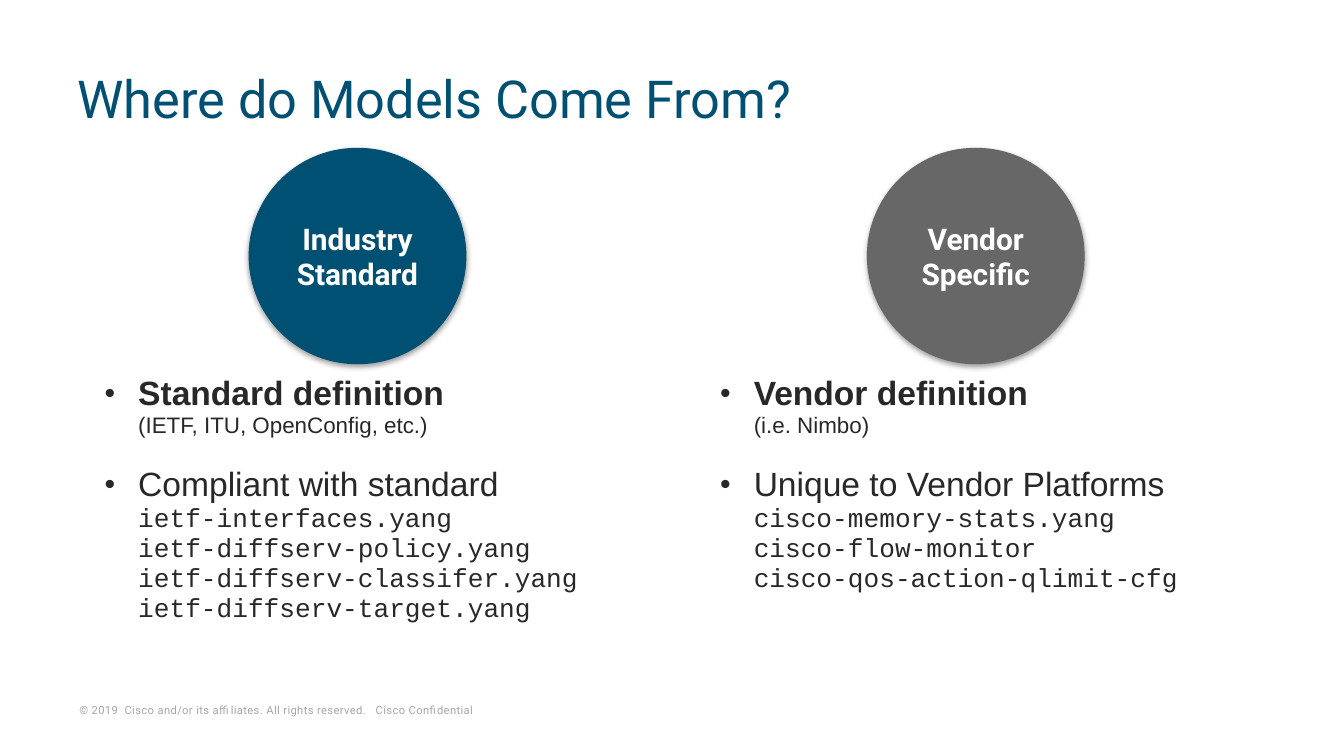
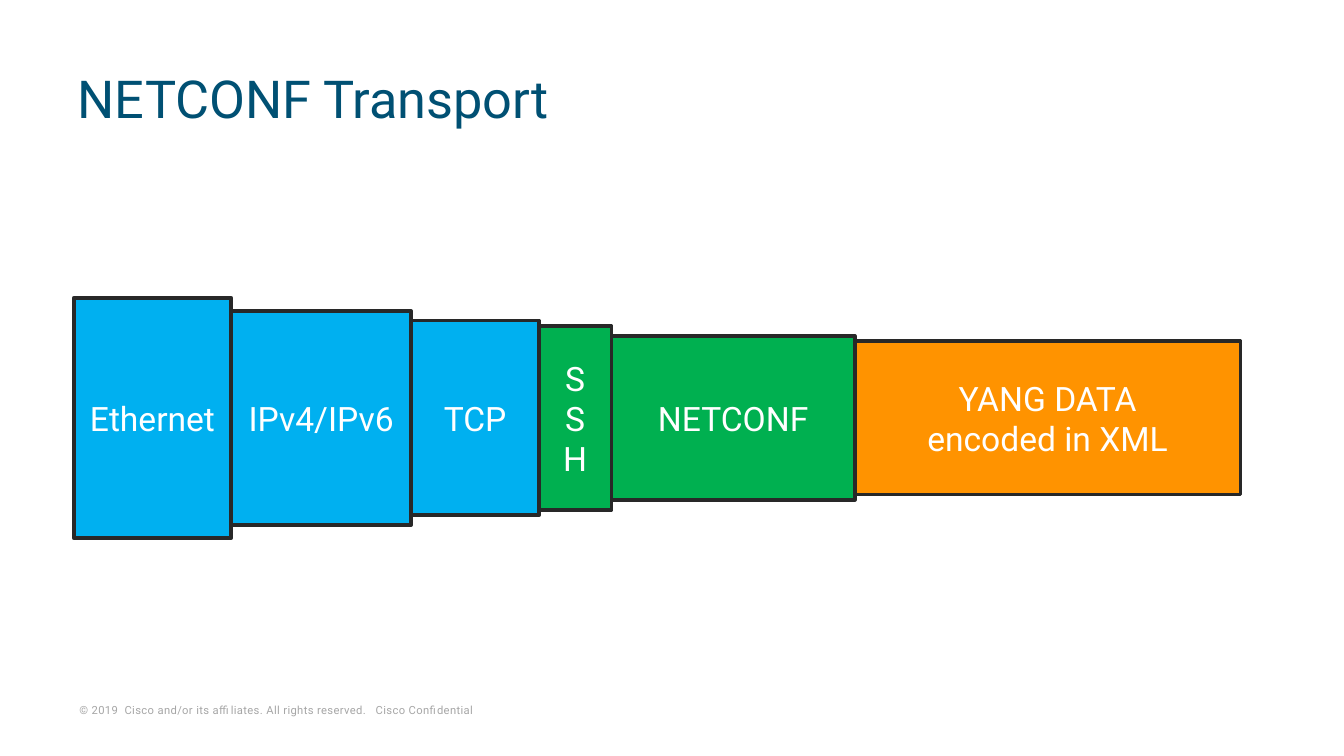
from copy import deepcopy
from dataclasses import dataclass

from lxml.etree import SubElement
from pptx import Presentation
from pptx.dml.color import RGBColor
from pptx.enum.shapes import MSO_SHAPE
from pptx.enum.text import MSO_ANCHOR, MSO_AUTO_SIZE, PP_ALIGN
from pptx.oxml.ns import qn
from pptx.util import Inches, Pt


@dataclass(frozen=True)
class Theme:
    navy: str = "005073"
    grey: str = "676767"
    ink: str = "282828"
    white: str = "FFFFFF"
    footer_grey: str = "A6A6A6"
    blue: str = "00B0F0"
    green: str = "00B050"
    orange: str = "FF9300"
    display_font: str = "Roboto"
    body_font: str = "Arial"
    code_font: str = "Courier New"
    title_size: float = 28
    body_size: float = 18
    circle_size: float = 16
    code_size: float = 14
    note_size: float = 12
    footer_size: float = 6


THEME = Theme()
SLIDE_WIDTH = 10
FOOTER = "© 2019  Cisco and/or its affiliates. All rights reserved.   Cisco Confidential"


# Shared text and shape helpers
def style_run(run, size, color, font=THEME.display_font, bold=False):
    run.font.name = font
    run.font.size = Pt(size)
    run.font.bold = bold
    run.font.color.rgb = RGBColor.from_string(color)


def match_breaks(paragraph):
    """Give each line break the format of the run before it."""
    for line_break in paragraph._p.findall(qn("a:br")):
        line_break.insert(0, deepcopy(line_break.getprevious().find(qn("a:rPr"))))


def set_frame(frame, horizontal=0.1, vertical=0.05, anchor=MSO_ANCHOR.MIDDLE):
    frame.word_wrap = True
    frame.vertical_anchor = anchor
    frame.margin_left = frame.margin_right = Inches(horizontal)
    frame.margin_top = frame.margin_bottom = Inches(vertical)


def add_text_box(slide, box):
    return slide.shapes.add_textbox(*map(Inches, box)).text_frame


def add_label_shape(slide, kind, box, fill, text, size, bold=False):
    shape = slide.shapes.add_shape(kind, *map(Inches, box))
    shape.shadow.inherit = False
    shape.fill.solid()
    shape.fill.fore_color.rgb = RGBColor.from_string(fill)
    set_frame(shape.text_frame)
    paragraph = shape.text_frame.paragraphs[0]
    paragraph.text = text
    paragraph.alignment = PP_ALIGN.CENTER
    for run in paragraph.runs:
        style_run(run, size, THEME.white, bold=bold)
    match_breaks(paragraph)
    return shape


# Title and footer shared by all slides
def add_base_slide(presentation, title):
    slide = presentation.slides.add_slide(presentation.slide_layouts[6])

    footer = add_text_box(slide, (0.52, 5.19, 3.72, 0.17))
    set_frame(footer, 0.07, 0.03, MSO_ANCHOR.BOTTOM)
    footer.auto_size = MSO_AUTO_SIZE.SHAPE_TO_FIT_TEXT
    footer.text = FOOTER
    footer_run = footer.paragraphs[0].runs[0]
    style_run(footer_run, THEME.footer_size, THEME.footer_grey)
    footer_run.font._element.set("spc", "20")

    heading = add_text_box(slide, (0.48, 0.37, 9.13, 0.8))
    set_frame(heading)
    heading.text = title
    heading.paragraphs[0].line_spacing = 0.8
    style_run(heading.paragraphs[0].runs[0], THEME.title_size, THEME.navy)
    return slide


# Circle with a soft shadow
def add_circle(slide, box, fill, text):
    circle = add_label_shape(slide, MSO_SHAPE.ROUNDED_RECTANGLE, box, fill, text,
                             THEME.circle_size, bold=True)
    circle.adjustments[0] = 0.5
    circle.line.fill.background()
    set_frame(circle.text_frame, 0.07, 0.04)
    effects = circle._element.spPr.find(qn("a:effectLst"))
    shadow = SubElement(effects, qn("a:outerShdw"), blurRad=str(Pt(3.1)),
                        dist=str(Pt(1.6)), dir="5400000", rotWithShape="0")
    color = SubElement(shadow, qn("a:srgbClr"), val="000000")
    SubElement(color, qn("a:alpha"), val="38000")


# Bulleted list whose items continue on lines of their own style
def add_bullets(slide, box, items):
    frame = add_text_box(slide, box)
    set_frame(frame, anchor=MSO_ANCHOR.TOP)
    for index, (heading, bold, lines, font, size) in enumerate(items):
        paragraph = frame.add_paragraph() if index else frame.paragraphs[0]
        paragraph.text = "\v".join([heading, *lines])
        paragraph.line_spacing = 0.95
        if index:
            paragraph.space_before = Pt(14.4)
        properties = paragraph._p.get_or_add_pPr()
        properties.set("marL", str(Inches(0.25)))
        properties.set("indent", str(-Inches(0.25)))
        SubElement(properties, qn("a:buSzPct"), val="90000")
        SubElement(properties, qn("a:buFont"), typeface=THEME.body_font)
        SubElement(properties, qn("a:buChar"), char="•")
        first, *rest = paragraph.runs
        style_run(first, THEME.body_size, THEME.ink, THEME.body_font, bold)
        for run in rest:
            style_run(run, size, THEME.ink, font)
        match_breaks(paragraph)


# One source of models: circle above, bullets below
def add_source(slide, box, circle_offset, fill, name, definition, note, scope, modules):
    left, top, width, height = box
    add_bullets(slide, (left, top + 1.64, width, height - 1.64), [
        (definition, True, [note], THEME.body_font, THEME.note_size),
        (scope, False, modules, THEME.code_font, THEME.code_size),
    ])
    add_circle(slide, (left + circle_offset, top, 1.62, 1.61), fill, name)


def build_sources_slide(presentation):
    slide = add_base_slide(presentation, "Where do Models Come From?")
    add_source(slide, (0.68, 1.1, 3.95, 4), 1.17, THEME.navy, "Industry Standard",
               "Standard definition", "(IETF, ITU, OpenConfig, etc.)",
               "Compliant with standard",
               ["ietf-interfaces.yang", "ietf-diffserv-policy.yang",
                "ietf-diffserv-classifer.yang", "ietf-diffserv-target.yang"])
    add_source(slide, (5.26, 1.1, 3.99, 4), 1.19, THEME.grey, "Vendor Specific",
               "Vendor definition", "(i.e. Nimbo)",
               "Unique to Vendor Platforms",
               ["cisco-memory-stats.yang", "cisco-flow-monitor",
                "cisco-qos-action-qlimit-cfg"])


# Protocol layers side by side, centred on one axis
def add_layers(slide, left, center, layers):
    for text, width, height, fill in layers:
        box = (left, center - height / 2, width, height)
        layer = add_label_shape(slide, MSO_SHAPE.RECTANGLE, box, fill, text,
                                THEME.body_size)
        layer.line.color.rgb = RGBColor.from_string(THEME.ink)
        layer.line.width = Pt(2)
        left += width


def build_transport_slide(presentation):
    slide = add_base_slide(presentation, "NETCONF Transport")
    add_layers(slide, 0.55, 3.11, [
        ("Ethernet", 1.17, 1.79, THEME.blue),
        ("IPv4/IPv6", 1.34, 1.59, THEME.blue),
        ("TCP", 0.95, 1.45, THEME.blue),
        ("S\vS\vH", 0.54, 1.37, THEME.green),
        ("NETCONF", 1.81, 1.22, THEME.green),
        ("YANG DATA\vencoded in XML", 2.87, 1.14, THEME.orange),
    ])


def main():
    presentation = Presentation()
    presentation.slide_width = Inches(SLIDE_WIDTH)
    presentation.slide_height = Inches(SLIDE_WIDTH * 9 / 16)
    build_sources_slide(presentation)
    build_transport_slide(presentation)
    presentation.save("out.pptx")


if __name__ == "__main__":
    main()
